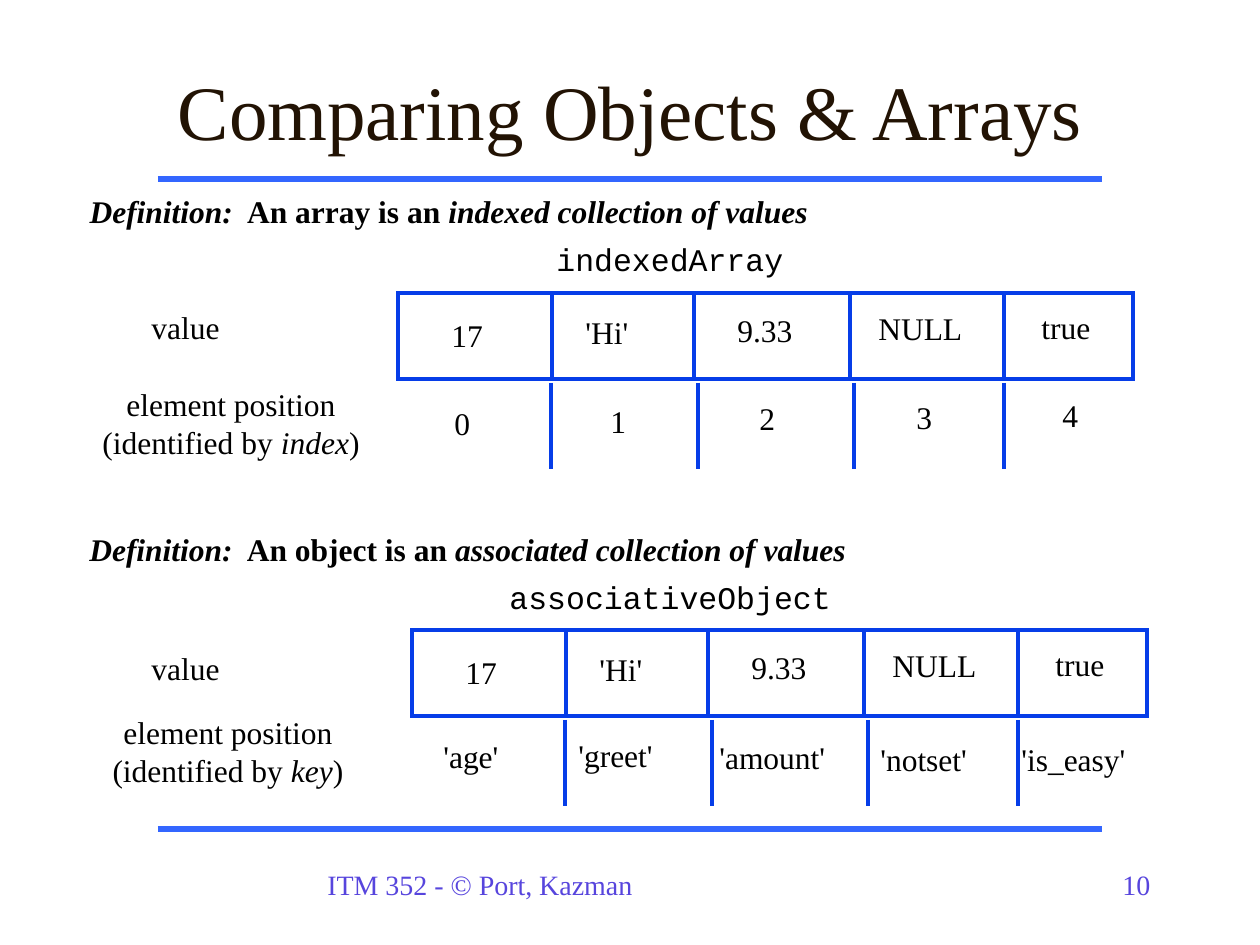
import dataclasses

import lxml.etree
import pptx
import pptx.dml.color
import pptx.enum.shapes
import pptx.enum.text
import pptx.oxml.ns
import pptx.util

EMU_PER_PX = 914400 / 126
ALIGN = pptx.enum.text.PP_ALIGN
ANCHOR = pptx.enum.text.MSO_ANCHOR
AUTO_SIZE = pptx.enum.text.MSO_AUTO_SIZE

UPPER_DIVIDERS = (154, 296, 452, 606)
LOWER_DIVIDERS = (153, 300, 456, 606)
VALUES = (
    ("17", 41, 17, 60),
    ("'Hi'", 175, 14, 72),
    ("9.33", 327, 12, 84),
    ("NULL", 468, 10, 114),
    ("true", 631, 9, 78),
)
INDEXES = (
    ("0", 44, 105, 44),
    ("1", 200, 103, 44),
    ("2", 349, 100, 44),
    ("3", 506, 99, 44),
    ("4", 652, 97, 44),
)
KEYS = (
    ("'age'", 19, 101, 92),
    ("'greet'", 154, 100, 104),
    ("'amount'", 295, 102, 135),
    ("'notset'", 456, 104, 116),
    ("'is_easy'", 597, 104, 133),
)


@dataclasses.dataclass(frozen=True)
class Theme:
    """Colours, fonts, type sizes and line widths of the slide."""

    title: str = "221304"
    text: str = "000000"
    footer: str = "5745DD"
    rule: str = "3366FF"
    cell: str = "063DE8"
    serif: str = "Times New Roman"
    mono: str = "Courier New"
    title_size: int = 44
    text_size: int = 18
    footer_size: int = 16
    rule_width: int = 3
    cell_width: int = 2


THEME = Theme()


def px(length):
    """Turn pixels into EMU."""
    return pptx.util.Emu(round(length * EMU_PER_PX))


def rgb(value):
    """Turn a hex string into a colour."""
    return pptx.dml.color.RGBColor.from_string(value)


def apply_format(target, values):
    """Set every attribute named in a dict of format values."""
    for name, value in values.items():
        setattr(target, name, value)


def place(shape, box):
    """Move and size a shape to a box in pixels."""
    apply_format(shape, dict(zip(("left", "top", "width", "height"), map(px, box))))


def write(shape, lines, size=THEME.text_size, colour=THEME.text, name=THEME.serif,
          frame=None, paragraph_format=None):
    """Fill a shape with lines, each a list of (text, font values) runs."""
    apply_format(shape.text_frame, {"word_wrap": True, "auto_size": AUTO_SIZE.NONE, **(frame or {})})
    for number, runs in enumerate(lines):
        paragraph = shape.text_frame.paragraphs[0] if number == 0 else shape.text_frame.add_paragraph()
        apply_format(paragraph, paragraph_format or {})
        for text, values in runs:
            run = paragraph.add_run()
            run.text = text
            apply_format(run.font, {"size": pptx.util.Pt(size), "name": name, **values})
            run.font.color.rgb = rgb(colour)


def add_label(slide, box, lines, **options):
    """Add a text box; a plain string is one line."""
    shape = slide.shapes.add_textbox(*map(px, box))
    write(shape, [[(lines, {})]] if isinstance(lines, str) else lines, **options)


def add_unwrapped_label(slide, box, lines, **options):
    """Add a text box that does not wrap its text."""
    add_label(slide, box, lines, frame={"word_wrap": False}, **options)


def add_line(slide, start, end, colour, width):
    """Add a straight line without shadow."""
    kind = pptx.enum.shapes.MSO_CONNECTOR.STRAIGHT
    line = slide.shapes.add_connector(kind, *map(px, start + end))
    line.line.color.rgb = rgb(colour)
    line.line.width = pptx.util.Pt(width)
    lxml.etree.SubElement(line._element.spPr, pptx.oxml.ns.qn("a:effectLst"))


def write_definition(shape, subject, meaning):
    """Write a definition with a hanging indent and no bullet."""
    runs = [
        ("Definition:", {"bold": True, "italic": True}),
        (f"  {subject} is an ", {"bold": True, "italic": False}),
        (meaning, {"bold": True, "italic": True}),
    ]
    write(shape, [runs], frame={"vertical_anchor": ANCHOR.TOP},
          paragraph_format={"space_before": pptx.util.Pt(4.5)})
    properties = shape.text_frame.paragraphs[0]._p.get_or_add_pPr()
    properties.set("marL", str(px(48)))
    properties.set("indent", str(px(-48)))
    lxml.etree.SubElement(properties, pptx.oxml.ns.qn("a:buNone"))


def add_cells(slide, left, top, positions):
    """Add a row of value cells with the positions below it."""
    kind = pptx.enum.shapes.MSO_SHAPE.RECTANGLE
    row = slide.shapes.add_shape(kind, *map(px, (left, top, 735, 86)))
    row.shadow.inherit = False
    row.fill.background()
    row.line.color.rgb = rgb(THEME.cell)
    row.line.width = pptx.util.Pt(THEME.cell_width)
    outline = row._element.spPr.find(pptx.oxml.ns.qn("a:ln"))
    lxml.etree.SubElement(outline, pptx.oxml.ns.qn("a:miter"), lim="800000")
    for dividers, offset in ((UPPER_DIVIDERS, 0), (LOWER_DIVIDERS, 90)):
        for divider in dividers:
            x, y = left + divider, top + offset
            add_line(slide, (x, y), (x, y + 86), THEME.cell, THEME.cell_width)
    for text, x, y, width in VALUES + positions:
        add_unwrapped_label(slide, (left + x, top + y, width, 50), text)


def add_position_label(slide, box, term):
    """Add the two-line caption of the position row."""
    lines = [
        [("element position", {})],
        [("(identified by ", {}), (term, {"italic": True}), (")", {})],
    ]
    add_unwrapped_label(slide, box, lines, paragraph_format={"alignment": ALIGN.CENTER})


def add_furniture(slide):
    """Add the two rules, the footer and the slide number."""
    for y in (179, 829):
        add_line(slide, (158, y), (1102, y), THEME.rule, THEME.rule_width)
    for text, left, width in (("ITM 352 - © Port, Kazman", 315, 525), ("10", 1110, 67)):
        add_label(slide, (left, 861, width, 47), text, size=THEME.footer_size,
                  colour=THEME.footer, paragraph_format={"space_before": pptx.util.Pt(10)})


def main():
    """Build and save the slide."""
    presentation = pptx.Presentation()
    apply_format(presentation, {"slide_width": px(1260), "slide_height": px(945)})
    slide = presentation.slides.add_slide(presentation.slide_layouts[1])
    add_furniture(slide)

    title, body = slide.placeholders
    place(title, (95, 31, 1071, 158))
    write(title, [[("Comparing Objects & Arrays", {})]], size=THEME.title_size,
          colour=THEME.title, frame={"vertical_anchor": ANCHOR.MIDDLE},
          paragraph_format={"alignment": ALIGN.CENTER})

    place(body, (77, 186, 1071, 72))
    write_definition(body, "An array", "indexed collection of values")
    object_definition = slide.shapes.add_textbox(*map(px, (77, 524, 1071, 72)))
    write_definition(object_definition, "An object", "associated collection of values")

    add_cells(slide, 398, 293, INDEXES)
    add_cells(slide, 412, 630, KEYS)
    for top in (302, 643):
        add_unwrapped_label(slide, (139, top, 97, 50), "value")
    add_position_label(slide, (87, 379, 288, 88), "index")
    add_position_label(slide, (97, 707, 262, 88), "key")
    add_unwrapped_label(slide, (544, 234, 260, 50), "indexedArray", name=THEME.mono)
    add_unwrapped_label(slide, (497, 572, 356, 50), "associativeObject", name=THEME.mono)

    presentation.save("out.pptx")


if __name__ == "__main__":
    main()
